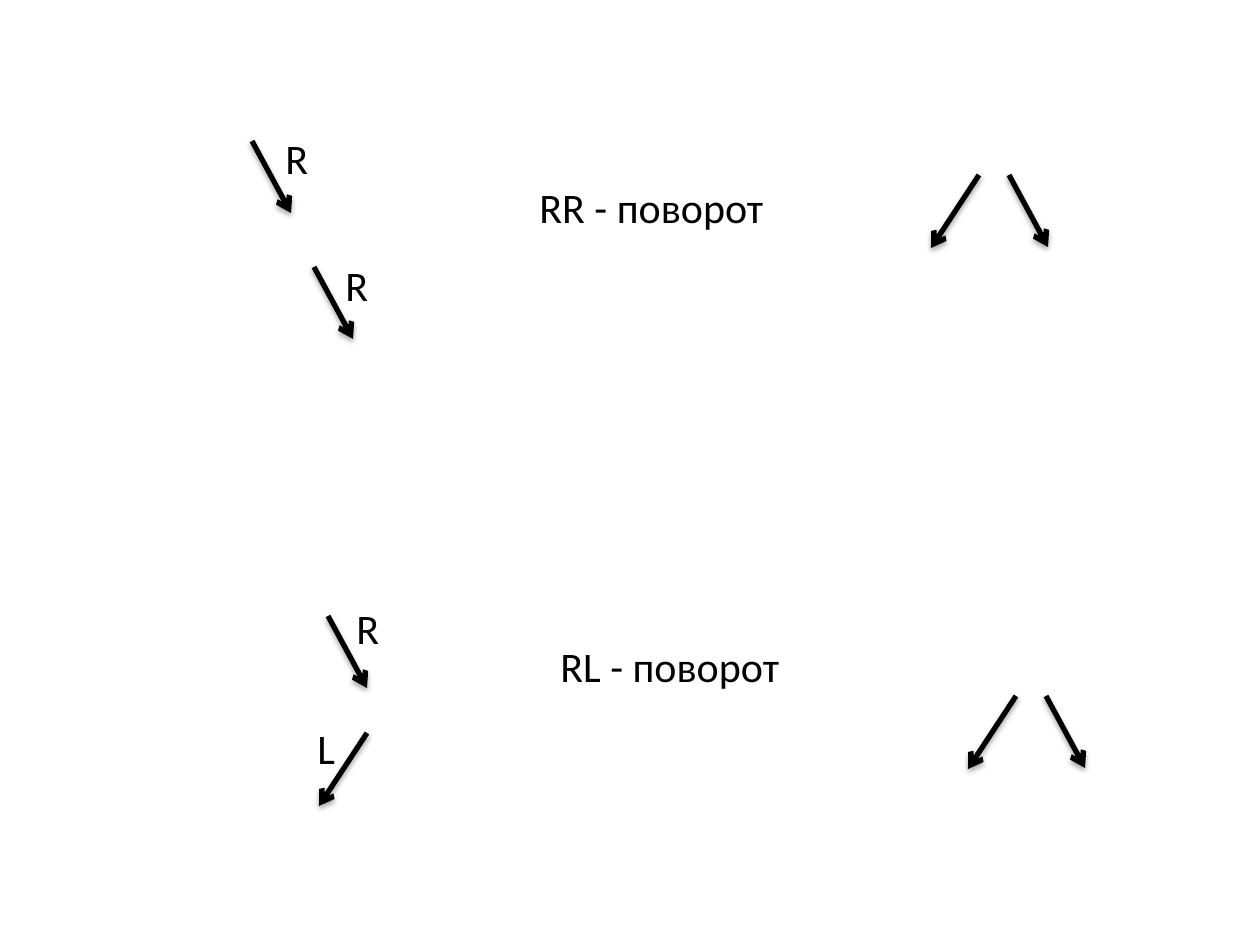
"""Builds a slide that shows the RR and RL rotations of a binary tree."""
import lxml.etree
import pptx
import pptx.dml.color
import pptx.enum.shapes
import pptx.enum.text
import pptx.oxml
import pptx.oxml.ns
import pptx.util

EMU_PER_PX = 914400 / 126
COLORS = {"ink": "000000"}
RIGHT = (39, 72)
LEFT = (-48, 73)


def px(length):
    return pptx.util.Emu(round(length * EMU_PER_PX))


class TreeSlide:
    """Holds the style and the current slide."""

    text_format = {"name": "Calibri", "size": pptx.util.Pt(24)}
    frame_format = {
        "word_wrap": True,
        "auto_size": pptx.enum.text.MSO_AUTO_SIZE.SHAPE_TO_FIT_TEXT,
    }
    line_width = pptx.util.Pt(3)
    text_height = 63
    shadow_xml = (
        f'<a:effectLst {pptx.oxml.ns.nsdecls("a")}>'
        '<a:outerShdw blurRad="40000" dist="23000" dir="5400000" rotWithShape="0">'
        f'<a:srgbClr val="{COLORS["ink"]}"><a:alpha val="35000"/></a:srgbClr>'
        '</a:outerShdw></a:effectLst>'
    )

    def __init__(self, presentation):
        self.slide = presentation.slides.add_slide(presentation.slide_layouts[6])
        self.ink = pptx.dml.color.RGBColor.from_string(COLORS["ink"])

    def arrow(self, x, y, direction):
        dx, dy = direction
        connector = self.slide.shapes.add_connector(
            pptx.enum.shapes.MSO_CONNECTOR.STRAIGHT, px(x), px(y), px(x + dx), px(y + dy))
        connector.line.color.rgb = self.ink
        connector.line.width = self.line_width
        properties = connector._element.spPr
        line = properties.find(pptx.oxml.ns.qn("a:ln"))
        lxml.etree.SubElement(line, pptx.oxml.ns.qn("a:tailEnd"), type="arrow")
        properties.append(pptx.oxml.parse_xml(self.shadow_xml))

    def label(self, x, y, text, width=59):
        shape = self.slide.shapes.add_textbox(px(x), px(y), px(width), px(self.text_height))
        frame = shape.text_frame
        for name, value in self.frame_format.items():
            setattr(frame, name, value)
        paragraph = frame.paragraphs[0]
        run = paragraph.add_run()
        run.text = text
        for name, value in self.text_format.items():
            setattr(run.font, name, value)
        run.font.color.rgb = self.ink

    def balanced_pair(self, x, y):
        self.arrow(x, y, LEFT)
        self.arrow(x + 30, y, RIGHT)


def main():
    presentation = pptx.Presentation()
    presentation.slide_width = px(1260)
    presentation.slide_height = px(945)
    tree = TreeSlide(presentation)

    for x, y, direction in [(252, 141, RIGHT), (314, 267, RIGHT),
                            (328, 616, RIGHT), (367, 733, LEFT)]:
        tree.arrow(x, y, direction)
    for x, y, text in [(273, 126, "R"), (333, 253, "R"), (344, 596, "R"), (305, 716, "L")]:
        tree.label(x, y, text)
    for x, y, text in [(527, 175, "RR - поворот"), (548, 634, "RL - поворот")]:
        tree.label(x, y, text, width=291)
    for x, y in [(979, 175), (1016, 696)]:
        tree.balanced_pair(x, y)

    presentation.save("out.pptx")


if __name__ == "__main__":
    main()
